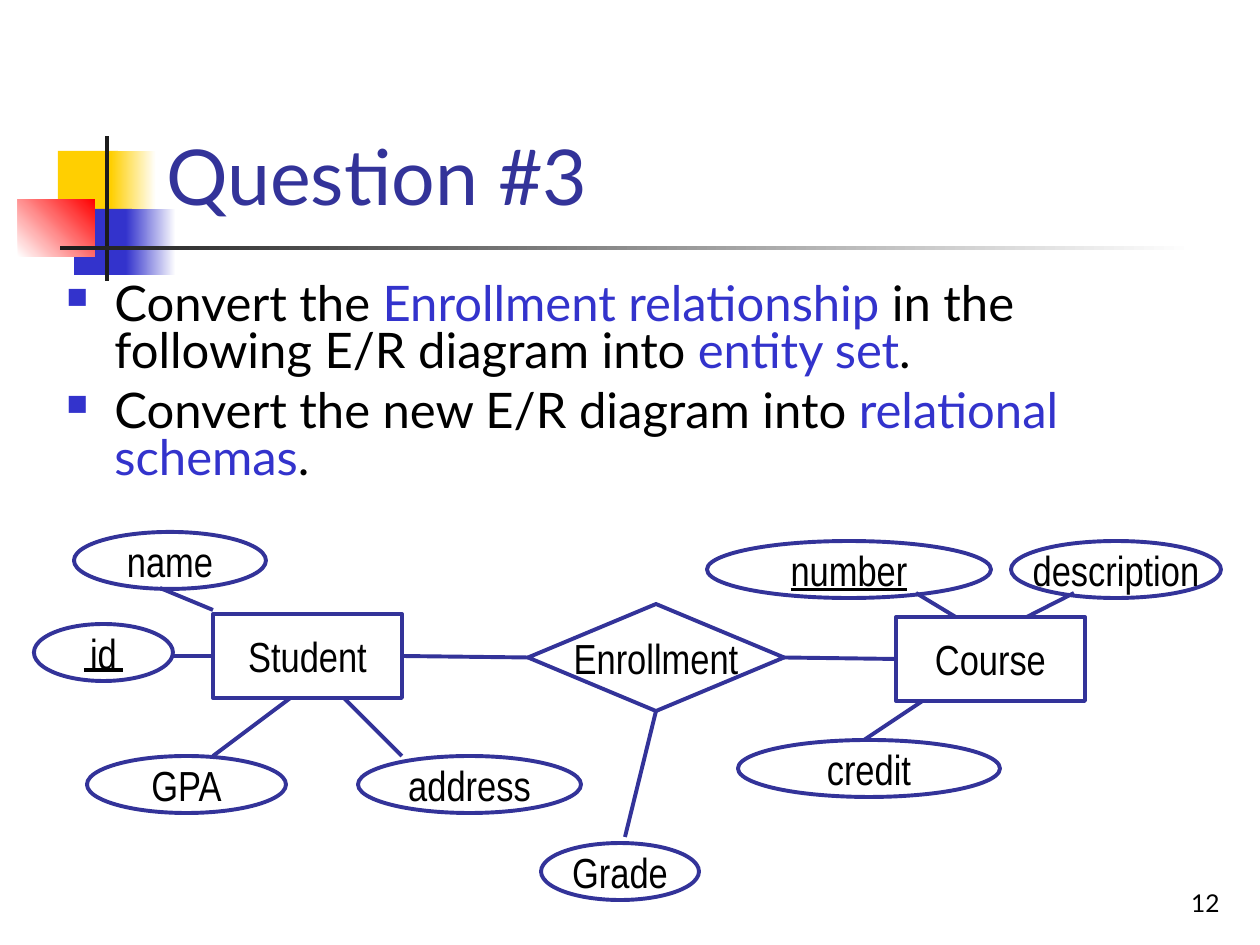
from typing import Any, NamedTuple

from lxml.etree import SubElement
from pptx import Presentation
from pptx.dml.color import RGBColor
from pptx.enum.shapes import MSO_CONNECTOR, MSO_SHAPE
from pptx.enum.text import MSO_ANCHOR, PP_ALIGN
from pptx.oxml.ns import qn
from pptx.util import Emu, Pt

PX_PER_INCH = 126
COLORS = {
    "white": "FFFFFF", "black": "000000", "ink": "1C1C1C", "yellow": "FFCF01",
    "blue": "3333CC", "red": "FF0000", "navy": "333399",
}
BODY_FORMAT = {"name": "Lato", "size": Pt(28)}
LABEL_FORMAT = {"name": "Arial Narrow", "size": Pt(24)}
KEY_FORMAT = {**LABEL_FORMAT, "underline": True}
TOP, LEFT, BOTTOM, RIGHT = range(4)


class Block(NamedTuple):
    """A part of the title ornament; end is the second gradient colour."""
    left: int
    top: int
    width: int
    height: int
    color: str
    end: str = ""
    angle: int = 0


class Node(NamedTuple):
    label: str
    left: int
    top: int
    width: int
    height: int = 57
    kind: MSO_SHAPE = MSO_SHAPE.OVAL
    font: dict = LABEL_FORMAT


class Link(NamedTuple):
    """A line; begin and end name the node and side it is joined to."""
    x1: int
    y1: int
    x2: int
    y2: int
    begin: tuple = ()
    end: tuple = ()
    color: str = "navy"


ORNAMENT = [
    Block(58, 151, 60, 66, "yellow"),
    Block(111, 151, 45, 66, "yellow", "white"),
    Block(74, 209, 58, 66, "blue"),
    Block(126, 209, 50, 66, "blue", "white"),
    Block(18, 199, 77, 58, "white", "red", 45),
    Block(105, 136, 4, 145, "ink"),
    Block(60, 246, 1134, 4, "ink", "white"),
]
ATTRIBUTES = [
    Node("number", 707, 541, 284, font=KEY_FORMAT),
    Node("description", 1011, 541, 210),
    Node("credit", 738, 740, 262),
    Node("GPA", 87, 756, 199),
    Node("address", 358, 756, 223),
    Node("id", 34, 624, 139),
    Node("name", 74, 532, 192),
    Node("Grade", 541, 843, 158),
]
ENTITIES = [
    Node("Student", 213, 614, 189, 84, MSO_SHAPE.RECTANGLE),
    Node("Course", 896, 617, 189, 84, MSO_SHAPE.RECTANGLE),
    Node("Enrollment", 528, 604, 256, 107, MSO_SHAPE.DIAMOND),
]
ATTRIBUTE_LINKS = [
    Link(927, 698, 864, 740),
    Link(916, 593, 969, 625),
    Link(1074, 593, 1011, 625),
    Link(213, 756, 297, 693),
    Link(402, 756, 339, 693),
    Link(160, 588, 213, 610),
    Link(84, 670, 123, 670, color="black"),
]
JOINED_LINKS = [
    Link(172, 656, 213, 656, end=("Student", LEFT)),
    Link(528, 657, 402, 656, ("Enrollment", LEFT), ("Student", RIGHT)),
    Link(784, 657, 896, 659, ("Enrollment", RIGHT), ("Course", LEFT)),
    Link(656, 711, 625, 837, begin=("Enrollment", BOTTOM)),
]
TASKS = [
    [("Convert the ", "black"), ("Enrollment relationship", "blue"),
     (" in the following E/R diagram into ", "black"),
     ("entity set", "blue"), (".", "black")],
    [("Convert the new E/R diagram into ", "black"),
     ("relational schemas", "blue"), (".", "black")],
]


def px(value: int) -> Emu:
    return Emu(round(value * 914400 / PX_PER_INCH))


def rgb(color: str) -> RGBColor:
    return RGBColor.from_string(COLORS[color])


def set_values(target: Any, values: dict) -> None:
    for attribute, value in values.items():
        setattr(target, attribute, value)


def add_run(paragraph: Any, text: str, color: str, font: dict) -> None:
    run = paragraph.add_run()
    run.text = text
    set_values(run.font, font)
    run.font.color.rgb = rgb(color)


def add_block(shapes: Any, block: Block) -> None:
    shape = shapes.add_shape(MSO_SHAPE.RECTANGLE, *map(px, block[:4]))
    shape.shadow.inherit = False
    shape.line.fill.background()
    if not block.end:
        shape.fill.solid()
        shape.fill.fore_color.rgb = rgb(block.color)
        return
    shape.fill.gradient()
    shape.fill.gradient_angle = block.angle
    for stop, color in zip(shape.fill.gradient_stops, (block.color, block.end)):
        stop.color.rgb = rgb(color)


def add_node(shapes: Any, node: Node) -> Any:
    shape = shapes.add_shape(node.kind, *map(px, node[1:5]))
    shape.shadow.inherit = False
    shape.fill.solid()
    shape.fill.fore_color.rgb = rgb("white")
    shape.line.color.rgb = rgb("navy")
    shape.line.width = Pt(2.25)
    frame = shape.text_frame
    set_values(frame, {"word_wrap": False, "vertical_anchor": MSO_ANCHOR.MIDDLE})
    frame.paragraphs[0].alignment = PP_ALIGN.CENTER
    add_run(frame.paragraphs[0], node.label, "black", node.font)
    return shape


def add_link(shapes: Any, link: Link, nodes: dict) -> None:
    line = shapes.add_connector(MSO_CONNECTOR.STRAIGHT, *map(px, link[:4]))
    line.line.color.rgb = rgb(link.color)
    line.line.width = Pt(2.25)
    SubElement(line.element.spPr, qn("a:effectLst"))
    for joint, connect in ((link.begin, line.begin_connect), (link.end, line.end_connect)):
        if joint:
            label, side = joint
            connect(nodes[label], side)


def add_text(shapes: Any, box: tuple, anchor: MSO_ANCHOR) -> Any:
    frame = shapes.add_textbox(*map(px, box)).text_frame
    set_values(frame, {"word_wrap": True, "vertical_anchor": anchor})
    return frame


def add_bullet(paragraph: Any) -> None:
    properties = paragraph._p.get_or_add_pPr()
    set_values(paragraph, {"line_spacing": 0.8})
    properties.set("marL", str(px(48)))
    properties.set("indent", str(-px(48)))
    SubElement(SubElement(properties, qn("a:buClr")), qn("a:srgbClr"), val=COLORS["blue"])
    SubElement(properties, qn("a:buSzPct"), val="60000")
    SubElement(properties, qn("a:buChar"), char="■")


def main() -> None:
    deck = Presentation()
    set_values(deck, {"slide_width": px(1260), "slide_height": px(945)})
    shapes = deck.slides.add_slide(deck.slide_layouts[6]).shapes

    for block in ORNAMENT:
        add_block(shapes, block)

    page = add_text(shapes, (970, 861, 262, 63), MSO_ANCHOR.BOTTOM).paragraphs[0]
    page.alignment = PP_ALIGN.RIGHT
    add_run(page, "12", "black", {"name": "Lato", "size": Pt(14)})

    title = add_text(shapes, (154, 135, 1074, 92), MSO_ANCHOR.BOTTOM).paragraphs[0]
    add_run(title, "Question #3", "navy", {"name": "Lato", "size": Pt(44)})

    body = add_text(shapes, (54, 278, 1179, 522), MSO_ANCHOR.TOP)
    for index, task in enumerate(TASKS):
        paragraph = body.add_paragraph() if index else body.paragraphs[0]
        add_bullet(paragraph)
        if index:
            paragraph.space_before = Pt(7)
        for text, color in task:
            add_run(paragraph, text, color, BODY_FORMAT)

    nodes = {node.label: add_node(shapes, node) for node in ATTRIBUTES}
    for link in ATTRIBUTE_LINKS:
        add_link(shapes, link, nodes)
    nodes |= {node.label: add_node(shapes, node) for node in ENTITIES}
    for link in JOINED_LINKS:
        add_link(shapes, link, nodes)

    deck.save("out.pptx")


if __name__ == "__main__":
    main()
